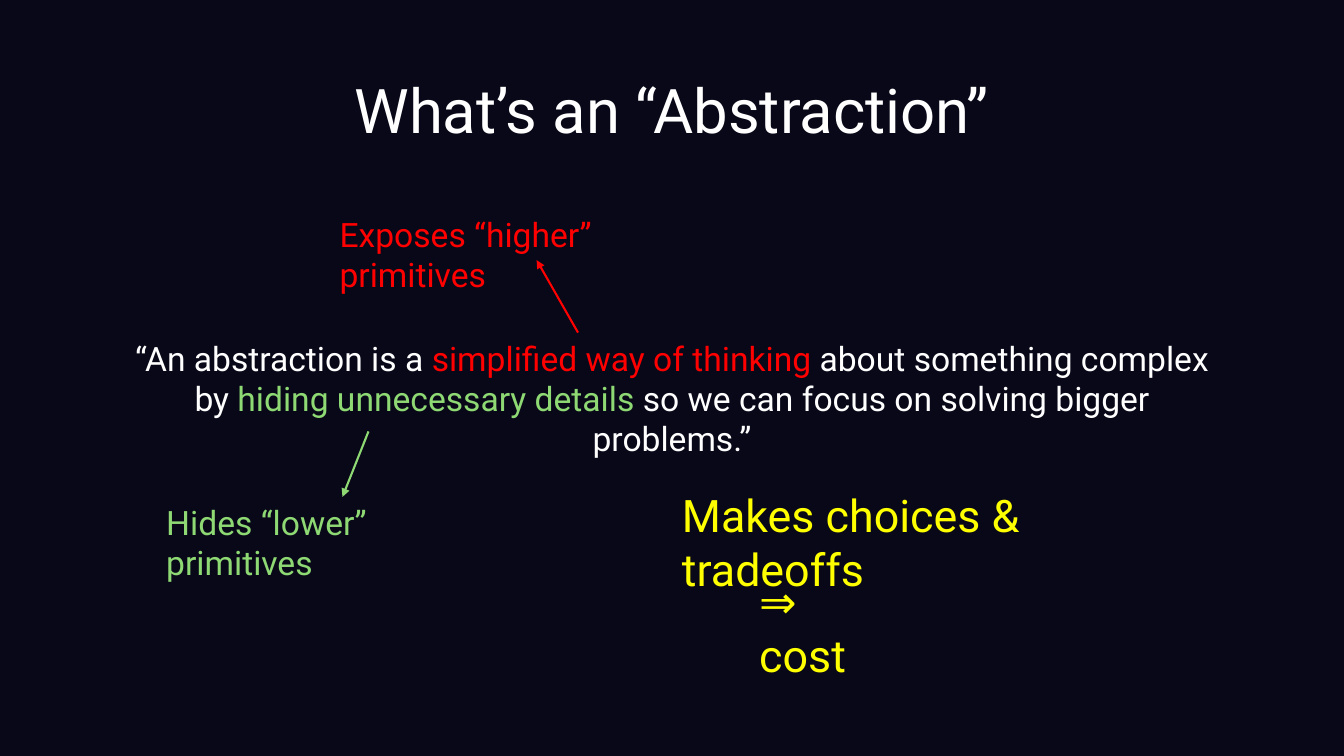
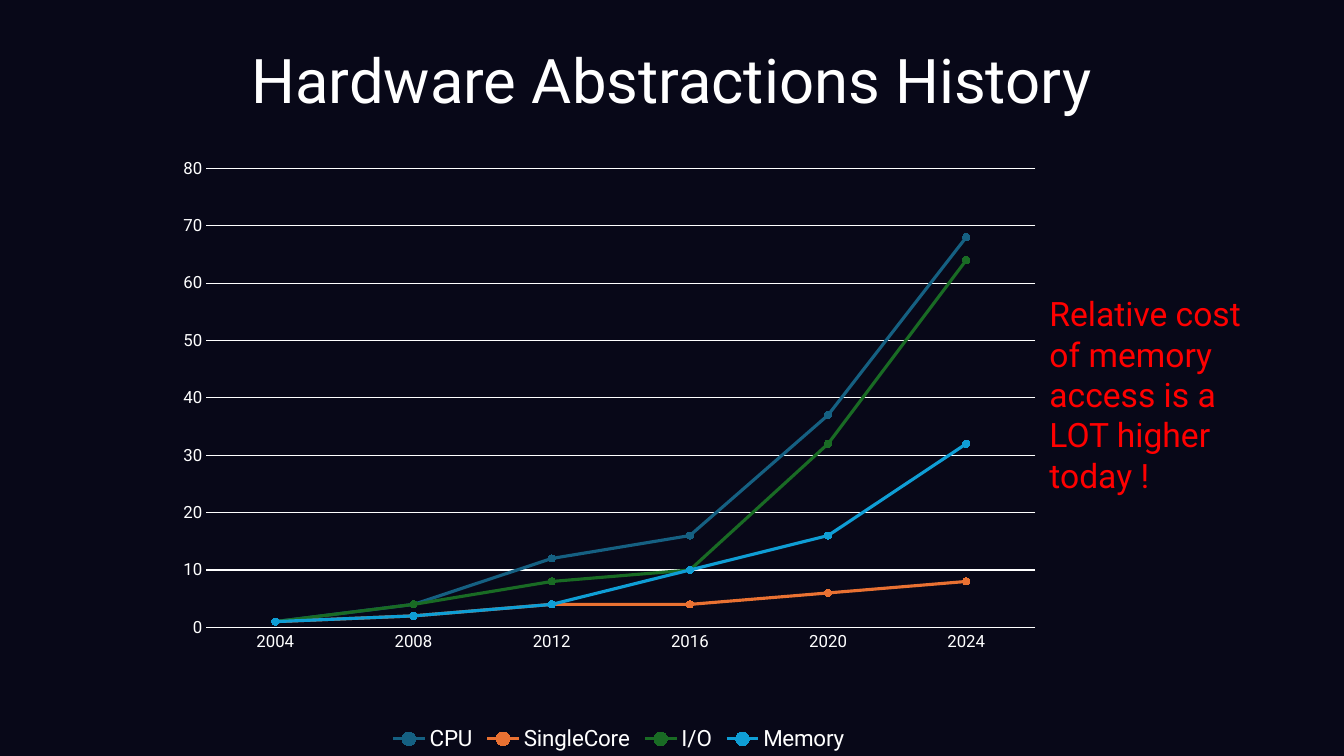
from collections import namedtuple
from pptx import Presentation
from pptx.chart.data import CategoryChartData as ChartData
from pptx.dml.color import RGBColor as Rgb
from pptx.enum.chart import XL_CHART_TYPE as Kind
from pptx.enum.chart import XL_LEGEND_POSITION as Side
from pptx.enum.chart import XL_MARKER_STYLE as Mark
from pptx.enum.chart import XL_TICK_MARK as Tick
from pptx.enum.shapes import MSO_CONNECTOR as Link
from pptx.enum.text import MSO_ANCHOR as Anchor
from pptx.enum.text import MSO_AUTO_SIZE as Fit
from pptx.enum.text import PP_ALIGN as Align
from pptx.oxml import parse_xml
from pptx.oxml.ns import nsdecls, qn
from pptx.util import Inches, Pt

FONT = "Roboto"
HEX = {
    "night": "080818", "white": "FFFFFF", "red": "FF0000",
    "green": "8ED973", "yellow": "FFFF00", "blue": "156082",
    "orange": "E97132", "forest": "196B24", "sky": "0F9ED5",
}
WIDE, HIGH = Inches(13.33), Inches(7.5)
YEARS = ["2004", "2008", "2012", "2016", "2020", "2024"]
SERIES = [
    ("CPU", "blue", (1, 4, 12, 16, 37, 68)),
    ("SingleCore", "orange", (1, 2, 4, 4, 6, 8)),
    ("I/O", "forest", (1, 4, 8, 10, 32, 64)),
    ("Memory", "sky", (1, 2, 4, 10, 16, 32)),
]


class Box(namedtuple("Box", "left top width height")):
    def spot(self, x, y):
        return (int(self.left + x * self.width / 100),
                int(self.top + y * self.height / 100))

    def area(self, x, y, w, h):
        return Box(*self.spot(x, y), int(w * self.width / 100),
                   int(h * self.height / 100))


PAGE = Box(0, 0, WIDE, HIGH)


def hue(name):
    return Rgb.from_string(HEX[name])


def style(font, size, color="white"):
    font.name = FONT
    font.size = Pt(size)
    font.color.rgb = hue(color)


def write(shape, *lines, size=24, color="white", align=Align.LEFT,
          anchor=Anchor.TOP, space=None):
    frame = shape.text_frame
    frame.word_wrap = True
    frame.auto_size = Fit.NONE
    frame.vertical_anchor = anchor
    for i, line in enumerate(lines):
        para = frame.add_paragraph() if i else frame.paragraphs[0]
        para.alignment = align
        para.line_spacing = space
        runs = [(line, color)] if isinstance(line, str) else line
        for words, tint in runs:
            run = para.add_run()
            run.text = words
            style(run.font, size, tint)


def label(shapes, box, *lines, **form):
    write(shapes.add_textbox(*box), *lines, **form)


def arrow(shapes, start, end, color):
    link = shapes.add_connector(Link.STRAIGHT, *start, *end)
    link.line.color.rgb = hue(color)
    link.line.width = Pt(1.5)
    props = link._element.spPr
    props.find(qn("a:ln")).append(
        parse_xml(f'<a:tailEnd {nsdecls("a")} type="triangle"/>'))
    props.append(parse_xml(f'<a:effectLst {nsdecls("a")}/>'))


def start(deck, words, top):
    slide = deck.slides.add_slide(deck.slide_layouts[5])
    title = slide.shapes.title
    box = PAGE.area(6.9, top, 86.2, 19.33)
    title.left, title.top, title.width, title.height = box
    write(title, words, size=44, align=Align.CENTER,
          anchor=Anchor.MIDDLE, space=0.9)
    return slide.shapes


def callout(shapes, box, words, color, top, tail, head):
    group = shapes.add_group_shape().shapes
    label(group, box.area(0, top, 100, 42), words, color=color)
    arrow(group, box.spot(*tail), box.spot(*head), color)


def quote(shapes, box):
    label(
        shapes, box,
        [("“An abstraction is a ", "white"),
         ("simplified way of thinking", "red"),
         (" about something complex", "white")],
        [("by ", "white"), ("hiding unnecessary details ", "green"),
         ("so we can focus on solving bigger problems.”", "white")],
        align=Align.CENTER)


def verdict(shapes, box):
    label(shapes, box.area(0, 0, 100, 43), "Makes choices & tradeoffs",
          size=32, color="yellow")
    label(shapes, box.area(14.6, 57, 26, 43), "⇒ cost",
          size=32, color="yellow")


def layout(chart, x, y, w, h):
    plot = chart._chartSpace.chart.plotArea
    for old in plot.findall(qn("c:layout")):
        plot.remove(old)
    sizes = "".join(f'<c:{tag} val="{val}"/>' for tag, val in
                    zip("xywh", (x, y, w, h)))
    plot.insert(0, parse_xml(
        f'<c:layout {nsdecls("c")}><c:manualLayout>'
        '<c:layoutTarget val="inner"/><c:xMode val="edge"/>'
        f'<c:yMode val="edge"/>{sizes}</c:manualLayout></c:layout>'))


def axes(chart):
    cats, vals = chart.category_axis, chart.value_axis
    for axis in (cats, vals):
        axis.major_tick_mark = axis.minor_tick_mark = Tick.NONE
        style(axis.tick_labels.font, 12)
    vals.minimum_scale, vals.maximum_scale, vals.major_unit = 0, 80, 10
    vals.has_major_gridlines = True
    vals.format.line.fill.background()
    for line in (cats.format.line, vals.major_gridlines.format.line):
        line.color.rgb = hue("white")
        line.width = Pt(0.75)


def graph(shapes, box):
    data = ChartData()
    data.categories = YEARS
    for name, _, nums in SERIES:
        data.add_series(name, nums)
    chart = shapes.add_chart(Kind.LINE_MARKERS, *box, data).chart
    chart.has_title = False
    style(chart.font, 10)
    axes(chart)
    chart.has_legend = True
    chart.legend.position = Side.BOTTOM
    chart.legend.include_in_layout = False
    style(chart.legend.font, 16)
    plot = chart.plots[0]
    plot.vary_by_categories = False
    for line, (_, color, _) in zip(plot.series, SERIES):
        line.smooth = False
        line.format.line.color.rgb = hue(color)
        line.format.line.width = Pt(2.25)
        mark = line.marker
        mark.style, mark.size = Mark.CIRCLE, 5
        mark.format.fill.solid()
        mark.format.fill.fore_color.rgb = hue(color)
        mark.format.line.color.rgb = hue(color)
    layout(chart, 0.04, 0.017, 0.925, 0.768)


def meaning(deck):
    shapes = start(deck, "What’s an “Abstraction”", 5.33)
    quote(shapes, PAGE.area(8.7, 44, 82.6, 12.1))
    callout(shapes, PAGE.area(24.53, 27.6, 30.8, 16.4),
            "Exposes “higher” primitives", "red", 0, (60, 100), (50, 41.5))
    callout(shapes, PAGE.area(11.63, 57.07, 27.7, 15.33),
            "Hides “lower” primitives", "green", 56.5, (57, 0), (50, 56.5))
    verdict(shapes, PAGE.area(50, 63.87, 39.4, 20))


def history(deck):
    shapes = start(deck, "Hardware Abstractions History", 1.33)
    graph(shapes, PAGE.area(12.68, 20.93, 66.7, 79.07))
    label(shapes, PAGE.area(77.35, 38.13, 16.9, 28.27),
          "Relative cost of memory access is a LOT higher today !",
          color="red")


def main():
    deck = Presentation()
    deck.slide_width, deck.slide_height = WIDE, HIGH
    back = deck.slide_master.background.fill
    back.solid()
    back.fore_color.rgb = hue("night")
    meaning(deck)
    history(deck)
    deck.save("out.pptx")


if __name__ == "__main__":
    main()
